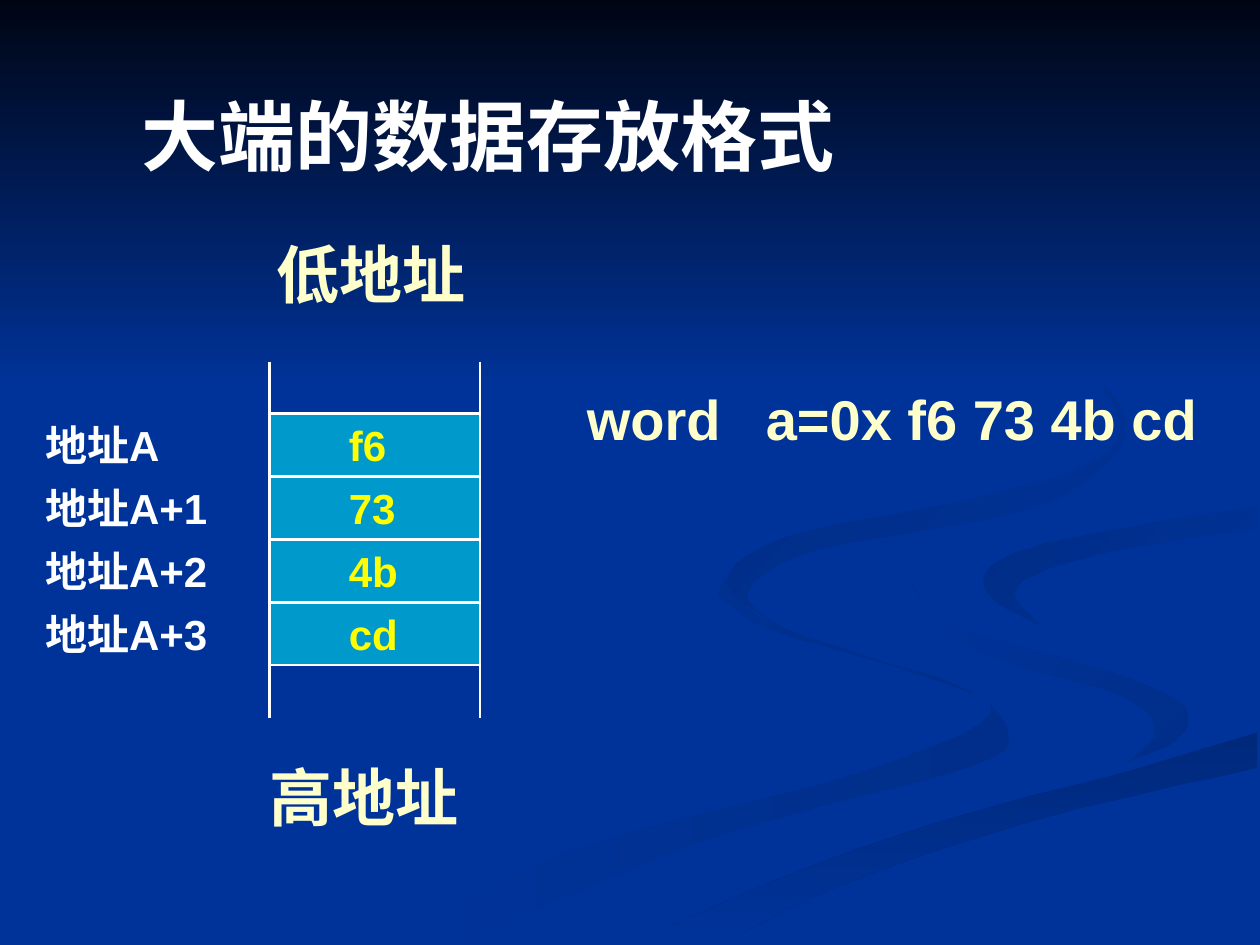
from dataclasses import dataclass

from lxml.etree import SubElement
from pptx import Presentation
from pptx.dml.color import RGBColor
from pptx.enum.shapes import MSO_CONNECTOR as Link, MSO_SHAPE as Kind
from pptx.enum.text import MSO_ANCHOR as Anchor, MSO_AUTO_SIZE as Fit, PP_ALIGN as Align
from pptx.oxml.ns import qn
from pptx.util import Inches, Pt

BLUE = "003399"
WHITE = "FFFFFF"
CREAM = "FFFFCC"
YELLOW = "FFFF00"
TEAL = "0099CC"

Edge = list[tuple[int, int]]


@dataclass
class Ribbon:
    first: str
    last: str
    angle: int
    outer: Edge
    inner: Edge


@dataclass
class Label:
    text: str
    left: float
    top: float
    width: float
    height: float
    size: int
    hue: str
    align: Align = Align.LEFT
    wrap: bool = True
    tab: float = 0


RIBBONS = [
    Ribbon("002E8A", BLUE, 180,
           [(575, 459), (602, 490), (682, 519), (767, 547), (800, 581), (769, 609), (564, 665), (361, 749)],
           [(300, 749), (458, 674), (684, 613), (786, 566), (728, 535), (611, 499), (570, 472)]),
    Ribbon("002E8A", BLUE, 135,
           [(724, 464), (758, 498), (870, 530), (930, 553), (943, 570), (932, 589), (894, 605)],
           [(894, 605), (917, 581), (892, 553), (797, 524), (739, 494)]),
    Ribbon("00297C", BLUE, 270,
           [(503, 749), (630, 693), (764, 647), (903, 610), (998, 581)],
           [(998, 609), (821, 651), (670, 702), (571, 749)]),
    Ribbon(BLUE, "002C85", 135,
           [(998, 402), (865, 424), (799, 442), (781, 460), (791, 478), (826, 496)],
           [(826, 496), (805, 472), (828, 453), (896, 435), (998, 420)]),
    Ribbon(BLUE, "002B81", 135,
           [(762, 233), (846, 279), (889, 335), (861, 370), (763, 398), (625, 426), (577, 462), (622, 500)],
           [(622, 500), (593, 470), (649, 436), (825, 402), (894, 344), (864, 291)]),
]

LEFT, TOP, WIDE, STEP = 2.14, 3.28, 1.67, 0.5
BYTES = ["f6", "73", "4b", "cd"]


def color(code: str) -> RGBColor:
    return RGBColor.from_string(code)


def blend(a: float, b: float, c: float, d: float, t: float) -> float:
    return b + t / 2 * (c - a + t * (2 * a - 5 * b + 4 * c - d + t * (3 * (b - c) + d - a)))


def smooth(edge: Edge, parts: int = 5) -> list[tuple[float, float]]:
    ends = [edge[0], *edge, edge[-1]]
    curve = [
        tuple(blend(*axis, part / parts) for axis in zip(*ends[i:i + 4]))
        for i in range(len(edge) - 1)
        for part in range(parts)
    ]
    return [*curve, edge[-1]]


def fade(shape, first: str, last: str, angle: int) -> None:
    shape.shadow.inherit = False
    shape.line.fill.background()
    shape.fill.gradient()
    shape.fill.gradient_angle = angle
    for stop, code in zip(shape.fill.gradient_stops, (first, last)):
        stop.color.rgb = color(code)


def draw_ribbon(shapes, item: Ribbon) -> None:
    points = smooth(item.outer) + smooth(item.inner)
    pen = shapes.build_freeform(*points[0], scale=Inches(0.01))
    pen.add_line_segments(points[1:], close=True)
    fade(pen.convert_to_shape(), item.first, item.last, item.angle)


def draw_cell(shapes, top: float) -> None:
    cell = shapes.add_shape(Kind.RECTANGLE, Inches(LEFT), Inches(top), Inches(WIDE), Inches(STEP))
    cell.shadow.inherit = False
    cell.fill.solid()
    cell.fill.fore_color.rgb = color(TEAL)
    cell.line.color.rgb = color(WHITE)
    cell.line.width = Pt(1.5)


def draw_rail(shapes, x: float) -> None:
    rail = shapes.add_connector(Link.STRAIGHT, Inches(x), Inches(2.87), Inches(x), Inches(5.7))
    rail.line.color.rgb = color(WHITE)
    rail.line.width = Pt(1.5)
    SubElement(rail.element.spPr, qn("a:effectLst"))


def style(para, face: str, size: int, hue: str, align: Align) -> None:
    para.alignment = align
    font = para.font
    font.name, font.size, font.bold = face, Pt(size), True
    font.color.rgb = color(hue)


def set_tab(para, place: float) -> None:
    tabs = SubElement(para._p.get_or_add_pPr(), qn("a:tabLst"))
    SubElement(tabs, qn("a:tab"), pos=str(Inches(place)), algn="l")


def draw_label(shapes, item: Label) -> None:
    box = shapes.add_textbox(Inches(item.left), Inches(item.top), Inches(item.width), Inches(item.height))
    frame = box.text_frame
    frame.word_wrap = item.wrap
    frame.auto_size = Fit.SHAPE_TO_FIT_TEXT
    frame.text = item.text
    para = frame.paragraphs[0]
    if item.tab:
        set_tab(para, item.tab)
    style(para, "Arial", item.size, item.hue, item.align)


def set_title(slide) -> None:
    title = slide.shapes.title
    title.left, title.top = Inches(1.02), Inches(0.78)
    title.width, title.height = Inches(6.19), Inches(0.58)
    frame = title.text_frame
    frame.word_wrap = True
    frame.auto_size = Fit.NONE
    frame.vertical_anchor = Anchor.MIDDLE
    frame.margin_left = frame.margin_right = Inches(0.1)
    frame.margin_top = frame.margin_bottom = Inches(0.01)
    frame.text = "大端的数据存放格式"
    style(frame.paragraphs[0], "Times New Roman", 44, WHITE, Align.LEFT)
    title.element.getparent().append(title.element)


def main() -> None:
    deck = Presentation()
    deck.slide_width, deck.slide_height = Inches(10), Inches(7.5)
    slide = deck.slides.add_slide(deck.slide_layouts[5])
    slide.background.fill.solid()
    slide.background.fill.fore_color.rgb = color(BLUE)
    shapes = slide.shapes
    for ribbon in RIBBONS:
        draw_ribbon(shapes, ribbon)
    band = shapes.add_shape(Kind.RECTANGLE, 0, 0, deck.slide_width, Inches(3.08))
    fade(band, "000514", BLUE, 270)
    set_title(slide)
    tops = [TOP + STEP * row for row in range(len(BYTES))]
    for top in tops:
        draw_cell(shapes, top)
    for x in (LEFT, LEFT + WIDE):
        draw_rail(shapes, x)
    draw_label(shapes, Label("低地址", 2.06, 1.82, 1.77, 0.7, 36, CREAM, Align.CENTER))
    draw_label(shapes, Label("高地址", 2.04, 5.97, 1.77, 0.7, 36, CREAM))
    for row, (top, byte) in enumerate(zip(tops, BYTES)):
        name = f"地址A+{row}" if row else "地址A"
        draw_label(shapes, Label(name, 0.26, top, 1.65, STEP, 24, WHITE))
        draw_label(shapes, Label(byte, 2.67, top, 0.65, STEP, 24, YELLOW))
    draw_label(shapes, Label("word\ta=0x f6 73 4b cd", 4.56, 3, 5.06, 0.64, 32, CREAM, wrap=False, tab=1.42))
    deck.save("out.pptx")


if __name__ == "__main__":
    main()
